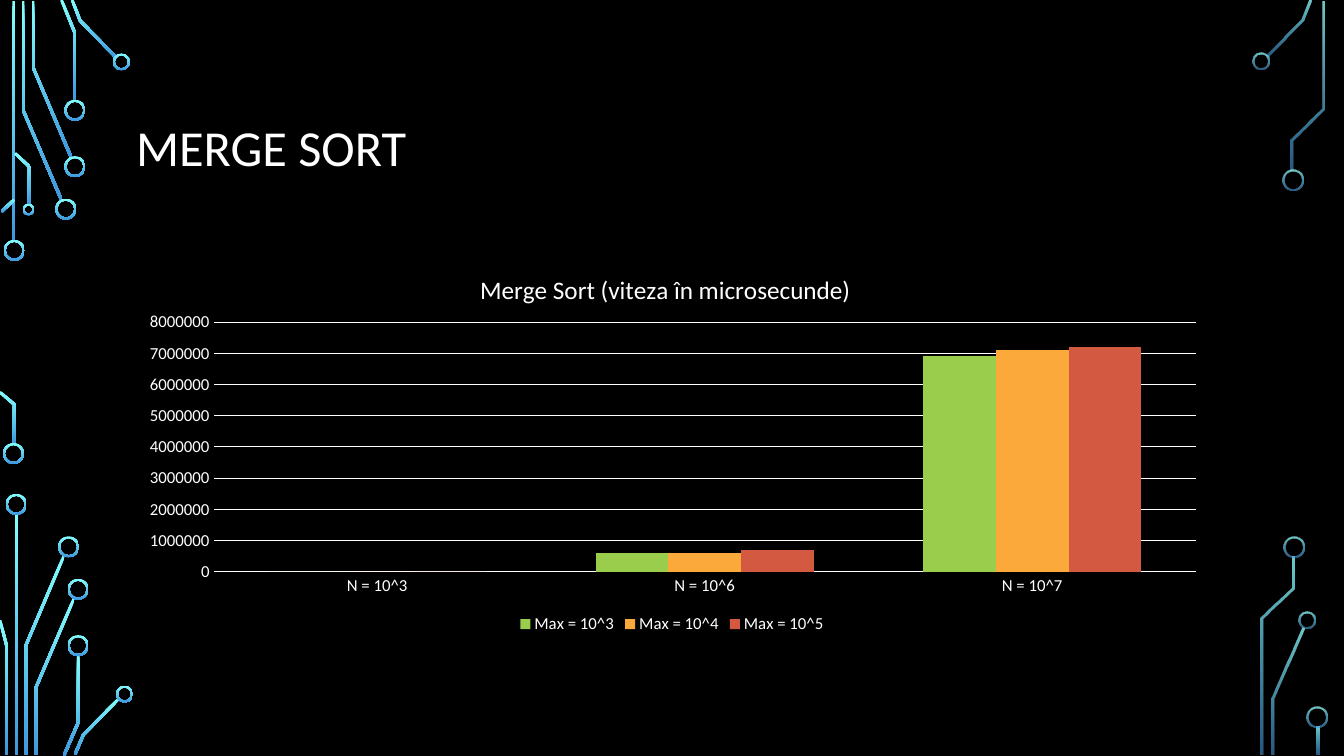
import math

import lxml.etree
import pptx
import pptx.chart.data
import pptx.dml.color
import pptx.enum.chart
import pptx.enum.shapes
import pptx.enum.text
import pptx.oxml.ns
import pptx.util

Cm = pptx.util.Cm
Pt = pptx.util.Pt
RGBColor = pptx.dml.color.RGBColor
qn = pptx.oxml.ns.qn

BLACK = RGBColor(0x00, 0x00, 0x00)
WHITE = RGBColor(0xFF, 0xFF, 0xFF)
CYAN = RGBColor(0x82, 0xFF, 0xFF)
BLUE = RGBColor(0x3D, 0x97, 0xDE)
GREEN = RGBColor(0x9A, 0xCD, 0x4C)
AMBER = RGBColor(0xFA, 0xA9, 0x3A)
RED = RGBColor(0xD3, 0x59, 0x40)

FONT = "Calibri"
WIRE = 0.07
BAND = 0.05
BIG, MID, SMALL = 0.53, 0.43, 0.3
SOLID = (100, 100)
FADED = (80, 60)

LEFT_WIRES = [
    [(0.35, 0.03), (0.35, 6.1)],
    [(1.55, 5.04), (0.58, 2.77), (0.58, 0.03)],
    [(1.8, 3.98), (0.83, 1.69), (0.83, 0.03)],
    [(1.55, 0), (1.89, 0.84), (1.89, 2.54)],
    [(1.82, 0), (2.02, 0.52), (2.93, 1.45)],
    [(0.04, 5.33), (0.36, 5.03)],
    [(0, 9.88), (0.36, 10.19), (0.36, 11.2)],
    [(0.38, 3.86), (0.74, 4.2), (0.74, 5.16)],
    [(0.42, 12.95), (0.42, 19.02)],
    [(1.61, 14.01), (0.65, 16.27), (0.65, 19.02)],
    [(0, 15.63), (0.17, 16.28), (0.17, 19.02)],
    [(1.87, 15.07), (0.9, 17.34), (0.9, 19.02)],
    [(1.97, 16.51), (1.97, 18.21), (1.61, 19.04)],
    [(3, 17.6), (2.1, 18.52), (1.89, 19.01)],
]
LEFT_RINGS = {
    BIG: [(0.36, 6.31), (0.34, 11.43), (1.66, 5.27), (1.89, 4.2), (1.89, 2.78),
          (0.41, 12.71), (1.73, 13.78), (1.97, 14.85), (1.97, 16.27)],
    MID: [(3.06, 1.56), (3.14, 17.49)],
    SMALL: [(0.72, 5.28)],
}
RIGHT_WIRES = [
    [(33.03, 0), (32.83, 0.5), (31.93, 1.41)],
    [(32.07, 19.02), (32.07, 17.61), (32.84, 15.84)],
    [(33.34, 0.03), (33.34, 2.73), (32.56, 3.52), (32.56, 4.29)],
    [(31.81, 19.02), (31.81, 15.58), (32.6, 14.82), (32.6, 14.02)],
    [(33.21, 18.31), (33.21, 19.02)],
]
RIGHT_RINGS = {
    BIG: [(32.58, 4.53), (32.6, 13.78), (33.18, 18.08)],
    MID: [(31.79, 1.54), (32.93, 15.63)],
}

CATS = ["N = 10^3", "N = 10^6", "N = 10^7"]
SERIES = [
    ("Max = 10^3", (0, 600000, 6900000), GREEN),
    ("Max = 10^4", (0, 600000, 7100000), AMBER),
    ("Max = 10^5", (0, 700000, 7200000), RED),
]


def glow(shape, alphas):
    shape.shadow.inherit = False
    shape.line.fill.background()
    shape.fill.gradient()
    shape.fill.gradient_angle = 270
    for stop, color in zip(shape.fill.gradient_stops, (CYAN, BLUE)):
        stop.color.rgb = color
    for clr, alpha in zip(shape.element.iter(qn("a:srgbClr")), alphas):
        if alpha < 100:
            node = lxml.etree.SubElement(clr, qn("a:alpha"))
            node.set("val", str(alpha * 1000))


def edge(points, half):
    norms = []
    for (x1, y1), (x2, y2) in zip(points, points[1:]):
        span = math.hypot(x2 - x1, y2 - y1)
        norms.append(((y1 - y2) / span, (x2 - x1) / span))
    side = []
    for (x, y), (ax, ay), (bx, by) in zip(points, norms[:1] + norms, norms + norms[-1:]):
        reach = half / (1 + ax * bx + ay * by)
        side.append((Cm(x + (ax + bx) * reach), Cm(y + (ay + by) * reach)))
    return side


def add_wire(slide, points, alphas):
    rim = edge(points, WIRE / 2) + edge(points, -WIRE / 2)[::-1]
    form = slide.shapes.build_freeform(*rim[0])
    form.add_line_segments(rim[1:], close=True)
    glow(form.convert_to_shape(), alphas)


def add_ring(slide, x, y, size, alphas):
    ring = slide.shapes.add_shape(
        pptx.enum.shapes.MSO_SHAPE.DONUT,
        Cm(x - size / 2), Cm(y - size / 2), Cm(size), Cm(size))
    ring.adjustments[0] = BAND / size
    glow(ring, alphas)


def add_board(slide, wires, rings, alphas):
    for points in wires:
        add_wire(slide, points, alphas)
    for size, spots in rings.items():
        for x, y in spots:
            add_ring(slide, x, y, size, alphas)


def style(font, size):
    font.name = FONT
    font.size = Pt(size)
    font.bold = False
    font.color.rgb = WHITE


def add_run(para, text, size):
    run = para.add_run()
    run.text = text
    style(run.font, size)


def add_title(slide, text):
    box = slide.shapes.add_textbox(Cm(3.18), Cm(1.73), Cm(27.51), Cm(4.11))
    frame = box.text_frame
    frame.word_wrap = True
    frame.vertical_anchor = pptx.enum.text.MSO_ANCHOR.MIDDLE
    para = frame.paragraphs[0]
    para.line_spacing = 0.9
    add_run(para, text, 36)


def place(node, index, **parts):
    for old in node.findall(qn("c:layout")):
        node.remove(old)
    layout = lxml.etree.Element(qn("c:layout"))
    manual = lxml.etree.SubElement(layout, qn("c:manualLayout"))
    for tag, value in parts.items():
        lxml.etree.SubElement(manual, qn("c:" + tag)).set("val", str(value))
    node.insert(index, layout)


def style_axis(axis):
    axis.major_tick_mark = pptx.enum.chart.XL_TICK_MARK.NONE
    axis.minor_tick_mark = pptx.enum.chart.XL_TICK_MARK.NONE
    axis.format.line.fill.background()
    style(axis.tick_labels.font, 12)


def add_chart(slide, title):
    data = pptx.chart.data.CategoryChartData()
    data.categories = CATS
    for name, values, color in SERIES:
        data.add_series(name, values)
    chart = slide.shapes.add_chart(
        pptx.enum.chart.XL_CHART_TYPE.COLUMN_CLUSTERED,
        Cm(3.18), Cm(6.25), Cm(27.51), Cm(9.83), data).chart
    style(chart.font, 10)
    plot = chart.plots[0]
    plot.gap_width = 150
    plot.overlap = 0
    plot.vary_by_categories = False
    for bars, (name, values, color) in zip(plot.series, SERIES):
        bars.format.fill.solid()
        bars.format.fill.fore_color.rgb = color
    style_axis(chart.category_axis)
    scale = chart.value_axis
    style_axis(scale)
    scale.minimum_scale = 0
    scale.maximum_scale = 8000000
    scale.major_unit = 1000000
    grid = scale.major_gridlines.format.line
    grid.color.rgb = WHITE
    grid.width = Pt(0.75)
    chart.has_legend = True
    chart.legend.position = pptx.enum.chart.XL_LEGEND_POSITION.BOTTOM
    chart.legend.include_in_layout = False
    style(chart.legend.font, 12)
    chart.has_title = True
    add_run(chart.chart_title.text_frame.paragraphs[0], title, 18)
    root = chart.element
    place(root.find(".//" + qn("c:title")), 1, xMode="edge", yMode="edge", x=0.32, y=0.05)
    place(root.find(".//" + qn("c:plotArea")), 0, layoutTarget="inner",
          xMode="edge", yMode="edge", x=0.08, y=0.19, w=0.9, h=0.64)


def main():
    deck = pptx.Presentation()
    deck.slide_width = Cm(33.87)
    deck.slide_height = Cm(19.05)
    slide = deck.slides.add_slide(deck.slide_layouts[6])
    slide.background.fill.solid()
    slide.background.fill.fore_color.rgb = BLACK
    add_board(slide, LEFT_WIRES, LEFT_RINGS, SOLID)
    add_board(slide, RIGHT_WIRES, RIGHT_RINGS, FADED)
    add_title(slide, "MERGE SORT")
    add_chart(slide, "Merge Sort (viteza în microsecunde)")
    deck.save("out.pptx")


if __name__ == "__main__":
    main()
